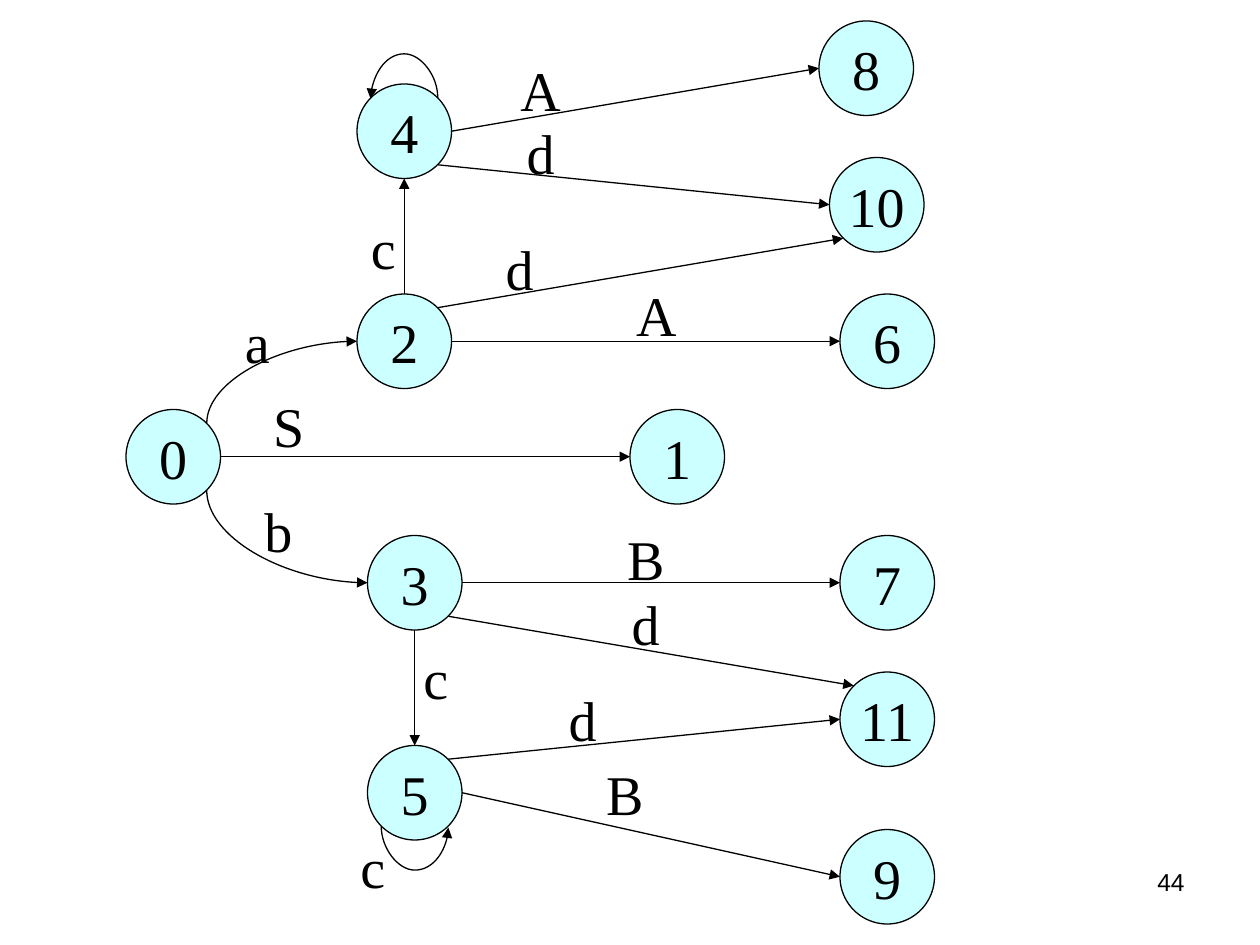
from lxml import etree
from pptx import Presentation
from pptx.dml.color import RGBColor
from pptx.enum.shapes import MSO_CONNECTOR, MSO_SHAPE
from pptx.enum.text import MSO_ANCHOR, PP_ALIGN
from pptx.oxml.ns import qn
from pptx.util import Pt

OVAL = MSO_SHAPE.OVAL
LINE, CURVE = MSO_CONNECTOR.STRAIGHT, MSO_CONNECTOR.CURVE
MIDDLE = MSO_ANCHOR.MIDDLE
CENTER, RIGHT = PP_ALIGN.CENTER, PP_ALIGN.RIGHT

PX = 9525  # 96 px to the inch
SIZE = 72  # side of a state or label
COLORS = {"ink": "000000", "state": "CCFFFF"}

# Unit steps from a state's centre to its rim
DIAG = 0.71
SITES = {
    "N": (0, -1), "S": (0, 1), "E": (1, 0), "W": (-1, 0),
    "NE": (DIAG, -DIAG), "NW": (-DIAG, -DIAG),
    "SE": (DIAG, DIAG), "SW": (-DIAG, DIAG),
}

# State: left, top
STATES = {
    "0": (96, 312), "1": (480, 312), "2": (272, 224), "3": (280, 408),
    "4": (272, 64), "5": (280, 568), "6": (640, 224), "7": (640, 408),
    "8": (624, 16), "9": (640, 632), "10": (632, 120), "11": (640, 512),
}

# Straight moves: state, site, state, site
MOVES = [
    ("0", "E", "1", "W"), ("2", "E", "6", "W"), ("2", "N", "4", "S"),
    ("2", "NE", "10", "SW"), ("3", "E", "7", "W"), ("3", "SE", "11", "NW"),
    ("3", "S", "5", "N"), ("4", "E", "8", "W"), ("4", "SE", "10", "W"),
    ("5", "NE", "11", "W"), ("5", "E", "9", "W"),
]

# Curved moves, with the depth of a loop (0 for a plain bend)
CURVES = [
    ("0", "NE", "2", "W", 0), ("0", "SE", "3", "W", 0),
    ("4", "NE", "4", "NW", -34), ("5", "SW", "5", "SE", 34),
]

# Label: text, left, top
LABELS = [
    ("S", 184, 288), ("a", 160, 224), ("b", 176, 368), ("A", 464, 203),
    ("c", 256, 152), ("d", 360, 168), ("B", 456, 389), ("d", 456, 439),
    ("c", 296, 480), ("A", 376, 32), ("d", 376, 80), ("d", 408, 512),
    ("B", 440, 568), ("c", 248, 624),
]


def emu(*nums):
    return [round(n * PX) for n in nums]


def rim(state, site):
    half = SIZE / 2
    return [p + half + half * step for p, step in zip(STATES[state], SITES[site])]


class Graph:
    def __init__(self, slide):
        self.slide = slide
        self.ink = RGBColor.from_string(COLORS["ink"])

    def put(self, frame, text, font, size, align):
        frame.text = text
        para = frame.paragraphs[0]
        para.alignment = align
        para.font.name = font
        para.font.size = Pt(size)
        para.font.color.rgb = self.ink

    def label(self, text, left, top):
        shape = self.slide.shapes.add_shape(OVAL, *emu(left, top, SIZE, SIZE))
        shape.shadow.inherit = False
        shape.fill.background()
        shape.line.fill.background()
        frame = shape.text_frame
        frame.word_wrap = False
        frame.vertical_anchor = MIDDLE
        self.put(frame, text, "Times New Roman", 32, CENTER)
        return shape

    def state(self, text, left, top):
        shape = self.label(text, left, top)
        shape.fill.solid()
        shape.fill.fore_color.rgb = RGBColor.from_string(COLORS["state"])
        shape.line.color.rgb = self.ink
        shape.line.width = Pt(0.75)

    def arrow(self, kind, start, end):
        link = self.slide.shapes.add_connector(kind, *emu(*start, *end))
        link.line.color.rgb = self.ink
        link.line.width = Pt(0.75)
        props = link._element.spPr
        etree.SubElement(props.find(qn("a:ln")), qn("a:tailEnd"), type="triangle")
        etree.SubElement(props, qn("a:effectLst"))
        return link

    def curve(self, start, end, depth):
        # A quarter turn makes the curve leave its start vertically
        (x1, y1), (x2, y2) = start, end
        if depth:
            y2 += 1  # a loop's depth is a multiple of this 1 px
        mid_x, mid_y = (x1 + x2) / 2, (y1 + y2) / 2
        rise, run = (y1 - y2) / 2, (x2 - x1) / 2
        link = self.arrow(CURVE, (mid_x - rise, mid_y - run), (mid_x + rise, mid_y + run))
        props = link._element.spPr
        props.find(qn("a:xfrm")).set("rot", "16200000")
        geom = props.find(qn("a:prstGeom"))
        if depth:
            guides = geom.find(qn("a:avLst"))
            etree.SubElement(guides, qn("a:gd"), name="adj1", fmla=f"val {depth * 100000}")
        else:
            geom.set("prst", "curvedConnector2")

    def number(self, text, left, top, width, height):
        box = self.slide.shapes.add_textbox(*emu(left, top, width, height))
        box.text_frame.word_wrap = True
        self.put(box.text_frame, text, "Arial", 14, RIGHT)


def main():
    deck = Presentation()
    deck.slide_width, deck.slide_height = emu(960, 720)
    graph = Graph(deck.slides.add_slide(deck.slide_layouts[6]))

    # States
    for name, place in STATES.items():
        graph.state(name, *place)

    # Moves between states
    for a, out, b, into in MOVES:
        graph.arrow(LINE, rim(a, out), rim(b, into))
    for a, out, b, into, depth in CURVES:
        graph.curve(rim(a, out), rim(b, into), depth)

    # Labels of the moves
    for item in LABELS:
        graph.label(*item)

    # Page number
    graph.number("44", 688, 656, 224, 50)

    deck.save("out.pptx")


if __name__ == "__main__":
    main()
